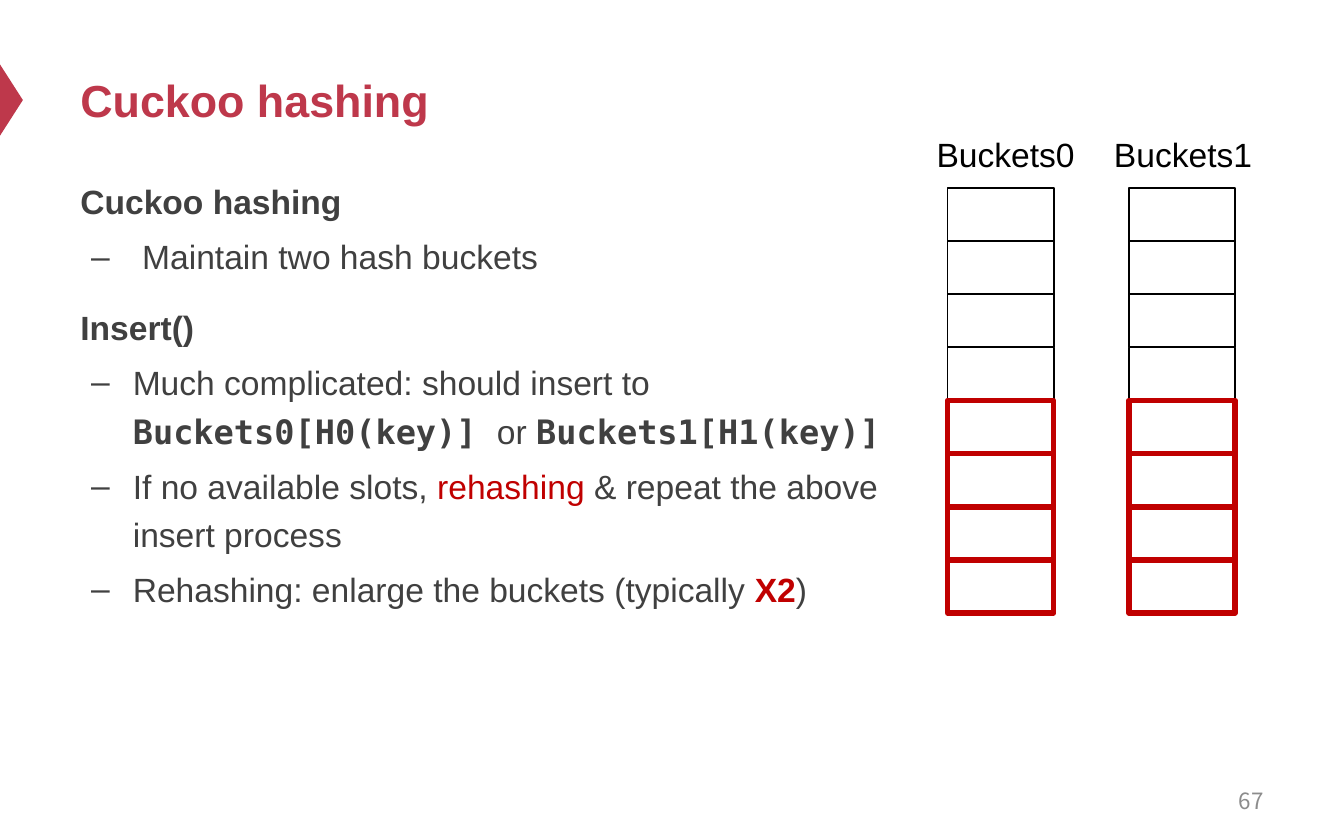
from dataclasses import dataclass

from lxml.etree import SubElement
from pptx import Presentation
from pptx.dml.color import RGBColor
from pptx.enum.shapes import MSO_SHAPE
from pptx.enum.text import MSO_ANCHOR, PP_ALIGN
from pptx.oxml.ns import qn
from pptx.util import Inches, Pt


@dataclass(frozen=True)
class Theme:
    """Colours, fonts and type sizes of the slide."""
    accent: RGBColor = RGBColor(0xBE, 0x38, 0x4B)
    body: RGBColor = RGBColor(0x40, 0x40, 0x40)
    alert: RGBColor = RGBColor(0xC0, 0x00, 0x00)
    ink: RGBColor = RGBColor(0x00, 0x00, 0x00)
    muted: RGBColor = RGBColor(0x8C, 0x8C, 0x8C)
    sans: str = "Arial"
    mono: str = "DejaVu Sans Mono"
    number_face: str = "Noto Sans CJK SC"
    title_size: Pt = Pt(24)
    text_size: Pt = Pt(18)
    number_size: Pt = Pt(12)


THEME = Theme()
PLAIN = {"name": THEME.sans, "size": THEME.text_size, "color": THEME.body, "bold": False}
STRONG = {**PLAIN, "bold": True}
CODE = {**STRONG, "name": THEME.mono}
ALERT = {**PLAIN, "color": THEME.alert}
ALERT_STRONG = {**ALERT, "bold": True}
TITLE = {**STRONG, "size": THEME.title_size, "color": THEME.accent}
LABEL = {**PLAIN, "color": THEME.ink}
NUMBER = {"name": THEME.number_face, "size": THEME.number_size, "color": THEME.muted}

SECTIONS = [
    ("Cuckoo hashing", [[(" Maintain two hash buckets", PLAIN)]]),
    ("Insert()", [
        [("Much complicated: should insert to ", PLAIN), ("Buckets0[H0(key)] ", CODE),
         ("or ", PLAIN), ("Buckets1[H1(key)]", CODE)],
        [("If no available slots, ", PLAIN), ("rehashing", ALERT),
         (" & repeat the above insert process", PLAIN)],
        [("Rehashing: enlarge the buckets (typically ", PLAIN), ("X2", ALERT_STRONG),
         (")", PLAIN)],
    ]),
]


def write_run(paragraph, text, style):
    """Append a run whose font takes the values in style."""
    run = paragraph.add_run()
    run.text = text
    for attribute, value in style.items():
        if attribute == "color":
            run.font.color.rgb = value
        else:
            setattr(run.font, attribute, value)


def add_text_frame(slide, box, anchor=MSO_ANCHOR.TOP):
    """Add a wrapping text box and return its text frame."""
    frame = slide.shapes.add_textbox(*map(Inches, box)).text_frame
    for attribute, value in {"word_wrap": True, "vertical_anchor": anchor}.items():
        setattr(frame, attribute, value)
    return frame


def add_line_of_text(slide, box, text, style, anchor=MSO_ANCHOR.TOP, align=PP_ALIGN.LEFT):
    """Place one single-paragraph text in its box."""
    paragraph = add_text_frame(slide, box, anchor).paragraphs[0]
    paragraph.alignment = align
    write_run(paragraph, text, style)


def set_dash_bullet(paragraph):
    """Give a paragraph a hanging dash bullet."""
    properties = paragraph._p.get_or_add_pPr()
    for attribute, value in {"marL": Inches(0.39), "indent": Inches(-0.31)}.items():
        properties.set(attribute, str(value))
    SubElement(properties, qn("a:buFont")).set("typeface", THEME.sans)
    SubElement(properties, qn("a:buChar")).set("char", "–")


def add_marker(slide, box):
    """Draw the arrow-like marker at the slide edge."""
    left, top, width, height = box
    marker = slide.shapes.add_shape(
        MSO_SHAPE.ISOSCELES_TRIANGLE,
        Inches(left + (width - height) / 2), Inches(top + (height - width) / 2),
        Inches(height), Inches(width))
    marker.rotation = 90
    marker.shadow.inherit = False
    marker.fill.solid()
    marker.fill.fore_color.rgb = THEME.accent
    marker.line.fill.background()


def add_body(slide, box):
    """Write the headings with their dashed points."""
    frame = add_text_frame(slide, box)
    for index, (heading, points) in enumerate(SECTIONS):
        paragraph = frame.add_paragraph() if index else frame.paragraphs[0]
        paragraph.line_spacing = 1.2
        paragraph.space_before = Pt(12 if index else 0)
        write_run(paragraph, heading, STRONG)
        for runs in points:
            point = frame.add_paragraph()
            for attribute, value in {"level": 1, "line_spacing": 1.2,
                                     "space_before": Pt(3.6)}.items():
                setattr(point, attribute, value)
            set_dash_bullet(point)
            for text, style in runs:
                write_run(point, text, style)


def add_bucket_column(slide, box, slots=8, original_slots=4):
    """Stack the slots of one bucket, marking those added by rehashing."""
    left, top, width, height = box
    slot_height = height / slots
    for index in range(slots):
        slot = slide.shapes.add_shape(
            MSO_SHAPE.RECTANGLE, Inches(left), Inches(top + index * slot_height),
            Inches(width), Inches(slot_height))
        slot.shadow.inherit = False
        slot.fill.background()
        added = index >= original_slots
        slot.line.color.rgb = THEME.alert if added else THEME.ink
        slot.line.width = Pt(3 if added else 1)


def build_slide(presentation):
    """Place every region of the cuckoo hashing slide."""
    slide = presentation.slides.add_slide(presentation.slide_layouts[6])
    add_marker(slide, (0, 0.48, 0.17, 0.53))
    add_line_of_text(slide, (0.5, 0.25, 9, 0.98), "Cuckoo hashing", TITLE, MSO_ANCHOR.MIDDLE)
    add_body(slide, (0.5, 1.24, 6.67, 4.5))
    add_line_of_text(slide, (7.17, 5.79, 2.33, 0.33), "67", NUMBER,
                     MSO_ANCHOR.MIDDLE, PP_ALIGN.RIGHT)
    for name, label_left, column_left in (("Buckets0", 6.87, 7.05), ("Buckets1", 8.19, 8.4)):
        add_bucket_column(slide, (column_left, 1.4, 0.79, 3.16))
        add_line_of_text(slide, (label_left, 0.95, 1.31, 0.4), name, LABEL)


def main():
    """Create and save the presentation."""
    presentation = Presentation()
    presentation.slide_width = Inches(10)
    presentation.slide_height = Inches(6.25)
    build_slide(presentation)
    presentation.save("out.pptx")


if __name__ == "__main__":
    main()
